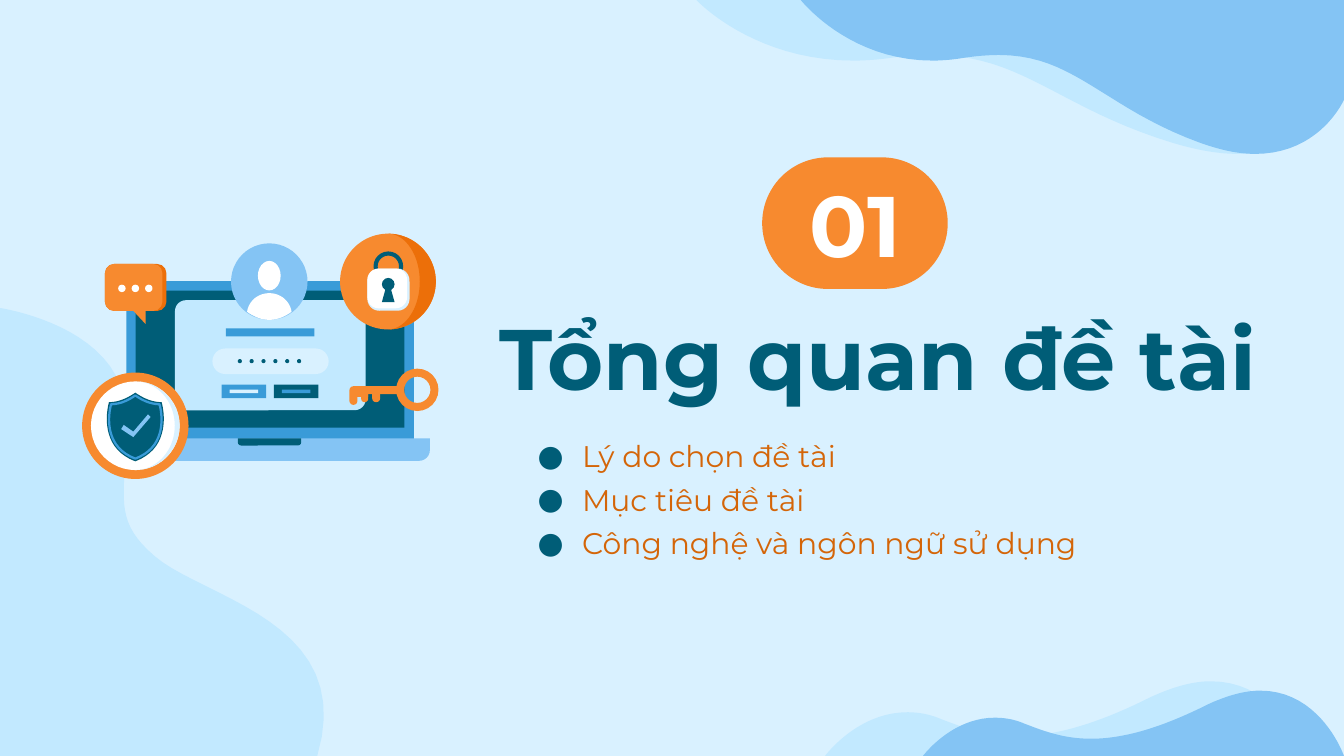
from lxml.etree import SubElement
from pptx import Presentation
from pptx.dml.color import RGBColor
from pptx.enum.shapes import MSO_SHAPE
from pptx.enum.text import MSO_ANCHOR, MSO_AUTO_SIZE, PP_ALIGN
from pptx.oxml.ns import qn
from pptx.util import Pt

PALE = RGBColor(0xD9, 0xF1, 0xFF)
LIGHT = RGBColor(0xC2, 0xE9, 0xFF)
SKY = RGBColor(0x84, 0xC4, 0xF4)
BLUE = RGBColor(0x39, 0x9B, 0xD8)
TEAL = RGBColor(0x00, 0x5D, 0x77)
ORANGE = RGBColor(0xF7, 0x8A, 0x2F)
DARK_ORANGE = RGBColor(0xEC, 0x6F, 0x09)
RUST = RGBColor(0xD4, 0x65, 0x08)
WHITE = RGBColor(0xFF, 0xFF, 0xFF)

# Outlines in points: a pair is a line, six numbers are a cubic curve
LEFT_WAVE = [(0, 0), (0, 0, 64, 9.5, 67, 53.5), (70, 98, 57, 111, 83, 133),
             (109, 155.5, 191.5, 168, 170, 240), (0, 240)]
BOTTOM_WAVE = [(206.6, 0), (244, 0, 258, 40, 258, 40), (0, 40),
               (0, 40, 17.3, 16.6, 44, 16.6), (49, 16.6, 55.4, 17.3, 62, 20.2),
               (73.4, 24.5, 85.7, 29.5, 103, 29.5),
               (120.2, 29.5, 142.6, 24.5, 174.2, 8.6),
               (186.5, 2.9, 197.3, 0, 206.6, 0)]
TOP_WAVE = [(347, 0), (347, 53.5), (347, 53.5, 332, 82.5, 290.2, 82.5),
            (280, 82.5, 268.6, 80.6, 255, 76.5),
            (193.7, 57.8, 175, 29.5, 126.7, 29.5),
            (120.2, 29.5, 112.3, 30, 104.4, 31),
            (97.2, 32, 90.7, 32.5, 84.2, 32.5), (30.2, 32.5, 0, 0, 0, 0)]
SHOULDERS = [(20.5, 26.7), (14.4, 26.7, 9.4, 31, 8.6, 36.7),
             (12.2, 39.3, 16.2, 41, 20.5, 41), (24.8, 41, 28.8, 39.3, 32.4, 36.7),
             (31.6, 31, 26.6, 26.7, 20.5, 26.7)]
SHIELD = [(0, 0), (-1.1, 0.7, -6.9, 5.1, -14.1, 5.1),
          (-14.1, 5.1, -21.3, 28.9, 0, 36.8), (21.3, 28.9, 14.1, 5.1, 14.1, 5.1),
          (6.9, 5.1, 1.1, 0.7, 0, 0)]
CHECK = [(35.3, 22.4), (27.4, 31.7), (22.3, 28.1), (20.9, 30.3), (27.4, 34.6), (36.7, 23.8)]


def paint(sp, fill, line=None, width=0):
    sp.shadow.inherit = False
    if fill is None:
        sp.fill.background()
    else:
        sp.fill.solid()
        sp.fill.fore_color.rgb = fill
    if line is None:
        sp.line.fill.background()
    else:
        sp.line.color.rgb = line
        sp.line.width = Pt(width)
    return sp


def preset(shapes, kind, x, y, w, h, fill, adj=(), **line):
    sp = shapes.add_shape(kind, Pt(x), Pt(y), Pt(w), Pt(h))
    for i, value in enumerate(adj):
        sp.adjustments[i] = value
    return paint(sp, fill, **line)


def rect(shapes, x, y, w, h, fill):
    return preset(shapes, MSO_SHAPE.RECTANGLE, x, y, w, h, fill)


def rounded(shapes, x, y, w, h, fill, radius=0.5, **line):
    return preset(shapes, MSO_SHAPE.ROUNDED_RECTANGLE, x, y, w, h, fill, [radius], **line)


def oval(shapes, x, y, w, h, fill):
    return preset(shapes, MSO_SHAPE.OVAL, x, y, w, h, fill)


def outline(shapes, x, y, steps, fill, sx=1, sy=1, **line):
    points = [steps[0]]
    for step in steps[1:]:
        if len(step) == 2:
            points.append(step)
            continue
        nodes = [points[-1], step[:2], step[2:4], step[4:]]
        for i in range(1, 21):
            t = i / 20
            weights = ((1 - t) ** 3, 3 * t * (1 - t) ** 2, 3 * t * t * (1 - t), t ** 3)
            points.append(tuple(sum(k * n[axis] for k, n in zip(weights, nodes))
                                for axis in (0, 1)))
    places = [(Pt(x + px * sx), Pt(y + py * sy)) for px, py in points]
    fb = shapes.build_freeform(*places[0])
    fb.add_line_segments(places[1:], close=True)
    return paint(fb.convert_to_shape(), fill, **line)


def crescent(shapes, x, y, d, thick, fill):
    """Shade the right edge of a circle of diameter d."""
    r, edge = d / 2, d - thick
    low, high = 0.224 * d, 0.776 * d
    bend = r + 0.55 * (edge - r)
    outline(shapes, x, y, [(r, 0), (high, 0, d, low, d, r), (d, high, high, d, r, d),
                           (bend, d, edge, high, edge, r), (edge, low, bend, 0, r, 0)], fill)


def waves(shapes, w, h):
    outline(shapes, 0, h - 240, LEFT_WAVE, LIGHT)
    outline(shapes, w - 278, h - 40, BOTTOM_WAVE, LIGHT)
    outline(shapes, w - 225.5, h - 35, BOTTOM_WAVE, SKY, 0.874, 0.874)
    outline(shapes, w - 347, 0, TOP_WAVE, LIGHT)
    outline(shapes, w - 291, 0, TOP_WAVE, SKY, 291 / 347)


def laptop(shapes, x, y):
    rounded(shapes, x, y, 154, 93.6, BLUE, 0.05)
    rect(shapes, x + 5, y + 5, 144, 73.4, TEAL)
    for dx, w, h, fill in ((-9.4, 172, 12, SKY), (59.7, 34, 3.8, TEAL)):
        preset(shapes, MSO_SHAPE.ROUND_2_SAME_RECTANGLE, x + dx, y + 84.2, w, h, fill, [0, 0.48])
    rounded(shapes, x + 26, y + 10.1, 102.2, 59, LIGHT, 0.1)


def login_form(shapes, x, y):
    rect(shapes, x + 7.2, y, 47.5, 4.3, BLUE)
    rounded(shapes, x, y + 10.8, 62.3, 13.7, PALE)
    for i in range(6):
        oval(shapes, x + 13.6 + 6.35 * i, y + 16.5, 2.2, 2.2, TEAL)
    for dx, fill, label in ((5, BLUE, PALE), (33, TEAL, BLUE)):
        rect(shapes, x + dx, y + 30.2, 23.8, 7.2, fill)
        rect(shapes, x + dx + 4.3, y + 32.8, 15.2, 2, label)


def avatar(shapes, x, y):
    oval(shapes, x, y, 41, 41, SKY)
    oval(shapes, x + 14.4, y + 9.4, 12.2, 15.8, WHITE)
    outline(shapes, x, y, SHOULDERS, WHITE)


def shield_badge(shapes, x, y):
    oval(shapes, x, y, 57, 57, ORANGE)
    oval(shapes, x + 4.75, y + 4.75, 47.5, 47.5, WHITE)
    crescent(shapes, x + 4.75, y + 4.75, 47.5, 2.6, PALE)
    outline(shapes, x + 28.5, y + 10.8, SHIELD, TEAL)
    outline(shapes, x + 28.5, y + 12.3, SHIELD, None, 0.92, 0.92, line=BLUE, width=1.2)
    outline(shapes, x, y, CHECK, SKY)


def key(shapes, x, y):
    preset(shapes, MSO_SHAPE.DONUT, x + 25, y, 22.7, 22.7, ORANGE, [0.19])
    rect(shapes, x + 2, y + 9.4, 25, 4.3, ORANGE)
    rect(shapes, x + 2, y + 11, 8, 4.1, ORANGE)
    for dx, w, h in ((0, 4.3, 10), (6.3, 3.8, 8.6), (12.2, 4.3, 8.6)):
        rounded(shapes, x + dx, y + 9.4, w, h, ORANGE)


def lock_badge(shapes, x, y):
    oval(shapes, x, y, 51.3, 51.3, ORANGE)
    crescent(shapes, x, y, 51.3, 8.6, DARK_ORANGE)
    rounded(shapes, x + 19, y + 10.6, 13.7, 13.7, None, line=TEAL, width=2.2)
    for size, fill in ((22.6, PALE), (21.3, WHITE)):
        rounded(shapes, x + 14.6, y + 18.7, size, size, fill, 0.28)
    # Keyhole
    oval(shapes, x + 22.4, y + 23.7, 6.8, 6.8, TEAL)
    outline(shapes, x + 22.4, y + 29.5, [(2, 0), (4.8, 0), (6.8, 7.2), (0, 7.2)], TEAL)


def speech_bubble(shapes, x, y):
    outline(shapes, x, y, [(15.1, 25), (21.8, 32.2), (21.8, 25)], ORANGE)
    for w, fill in ((33, DARK_ORANGE), (30.8, ORANGE)):
        rounded(shapes, x, y, w, 25.2, fill, 0.2)
    for i in range(3):
        oval(shapes, x + 7.1 + 7.2 * i, y + 11.1, 4, 4, WHITE)


def illustration(shapes, x, y):
    laptop(shapes, x + 23.7, y + 25.5)
    login_form(shapes, x + 69.8, y + 50.7)
    avatar(shapes, x + 79.8, y + 5.2)
    shield_badge(shapes, x, y + 74.4)
    key(shapes, x + 143.2, y + 72.3)
    lock_badge(shapes, x + 138.2, y)
    speech_bubble(shapes, x + 12.2, y + 16.2)


def write(p, text, size, color, bold=False):
    r = p.add_run()
    r.text = text
    r.font.color.rgb = color
    for name, value in {"name": "Montserrat", "size": Pt(size), "bold": bold}.items():
        setattr(r.font, name, value)


def frame(sp, anchor):
    tf = sp.text_frame
    inset = Pt(7.2)
    for name, value in {"word_wrap": True, "auto_size": MSO_AUTO_SIZE.NONE,
                        "vertical_anchor": anchor, "margin_left": inset, "margin_right": inset,
                        "margin_top": inset, "margin_bottom": inset}.items():
        setattr(tf, name, value)
    return tf


def place(sp, x, y, w, h):
    sp.left, sp.top, sp.width, sp.height = Pt(x), Pt(y), Pt(w), Pt(h)


def heading(s, x, y, w):
    # Section number
    pill = rounded(s.shapes, x + 156.3, y, 99.4, 70.5, ORANGE)
    place(s.shapes.title, x, y + 72.7, w, 67.7)
    for sp, text, color in ((pill, "01", WHITE), (s.shapes.title, "Tổng quan đề tài", TEAL)):
        p = frame(sp, MSO_ANCHOR.MIDDLE).paragraphs[0]
        p.alignment = PP_ALIGN.CENTER
        write(p, text, 46, color, True)


def topics(sp, x, y, w, h):
    place(sp, x, y, w, h)
    tf = frame(sp, MSO_ANCHOR.TOP)
    for i, text in enumerate(("Lý do chọn đề tài", "Mục tiêu đề tài",
                              "Công nghệ và ngôn ngữ sử dụng")):
        p = tf.add_paragraph() if i else tf.paragraphs[0]
        pPr = p._p.get_or_add_pPr()
        pPr.set("marL", str(Pt(36)))
        pPr.set("indent", str(-Pt(23.8)))
        SubElement(SubElement(pPr, qn("a:buClr")), qn("a:srgbClr")).set("val", str(TEAL))
        SubElement(pPr, qn("a:buFont")).set("typeface", "Montserrat")
        SubElement(pPr, qn("a:buChar")).set("char", "●")
        p.space_before = Pt(4 if i else 0)
        write(p, text, 16, RUST)


prs = Presentation()
prs.slide_width, prs.slide_height = Pt(720), Pt(405)
s = prs.slides.add_slide(prs.slide_layouts[1])
s.background.fill.solid()
s.background.fill.fore_color.rgb = PALE
waves(s.shapes, 720, 405)
heading(s, 252, 84.3, 436.3)
topics(s.placeholders[1], 268.6, 227.5, 407.5, 92.9)
illustration(s.shapes.add_group_shape().shapes, 44, 125.2)
prs.save("out.pptx")
